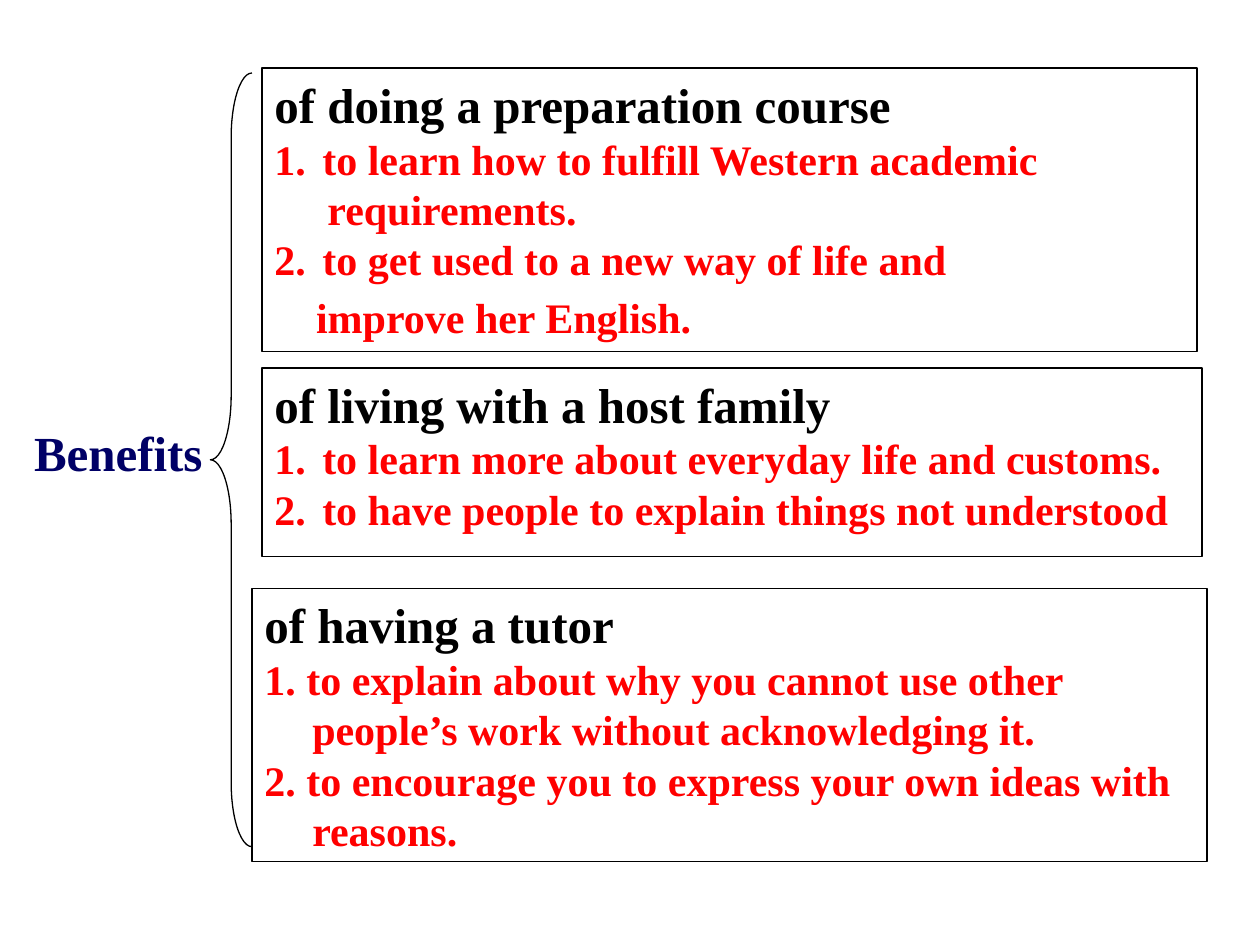
from lxml import etree
from pptx import Presentation
from pptx.dml.color import RGBColor
from pptx.enum.shapes import MSO_SHAPE
from pptx.enum.text import MSO_ANCHOR, MSO_AUTO_SIZE, PP_ALIGN
from pptx.oxml.ns import qn
from pptx.util import Inches, Pt

BLACK = RGBColor(0x00, 0x00, 0x00)
RED = RGBColor(0xFF, 0x00, 0x00)
NAVY = RGBColor(0x00, 0x00, 0x66)
FONT = "Times New Roman"
RECTANGLE = MSO_SHAPE.RECTANGLE
LEFT_BRACE = MSO_SHAPE.LEFT_BRACE
TOP = MSO_ANCHOR.TOP
LEFT = PP_ALIGN.LEFT
NO_AUTOFIT = MSO_AUTO_SIZE.NONE
HANGING = 0.38

BENEFITS = [
    ((2.08, 0.54, 7.42, 2.25), [
        ("of doing a preparation course", "heading"),
        ("to learn how to fulfill Western academic", 1),
        ("requirements.", 0.42),
        ("to get used to a new way of life and", 2),
        ("improve her English.", 0.33),
    ]),
    ((2.08, 2.92, 7.46, 1.5), [
        ("of living with a host family", "heading"),
        ("to learn more about everyday life and customs.", 1),
        ("to have people to explain things not understood", 2),
    ]),
    ((2, 4.67, 7.58, 2.17), [
        ("of having a tutor", "heading"),
        ("1. to explain about why you cannot use other people’s work "
         "without acknowledging it.", "hanging"),
        ("2. to encourage you to express your own ideas with reasons.", "hanging"),
    ]),
]


def set_indent(para, margin, first=0):
    """Set the left margin and first-line indent of a paragraph."""
    properties = para._p.get_or_add_pPr()
    properties.set("marL", str(Inches(margin)))
    properties.set("indent", str(Inches(first)))
    return properties


def add_number(properties, number):
    """Give a paragraph a red automatic number."""
    colour = etree.SubElement(properties, qn("a:buClr"))
    etree.SubElement(colour, qn("a:srgbClr"), val=str(RED))
    etree.SubElement(properties, qn("a:buAutoNum"),
                     type="arabicPeriod", startAt=str(number))


def format_text(para, size, colour):
    """Apply the bold serif style to a paragraph."""
    para.alignment = LEFT
    para.line_spacing = 1.0
    for span in para.runs:
        span.font.name = FONT
        span.font.size = Pt(size)
        span.font.bold = True
        span.font.color.rgb = colour


def outline(shape):
    """Leave a shape unfilled with a thin black line."""
    shape.shadow.inherit = False
    shape.fill.background()
    shape.line.color.rgb = BLACK
    shape.line.width = Pt(0.75)


def add_title(page, box):
    """Place the topic in the title placeholder."""
    title = page.shapes.title
    title.left, title.top, title.width, title.height = map(Inches, box)
    frame = title.text_frame
    frame.text = "Benefits"
    frame.word_wrap = True
    frame.auto_size = NO_AUTOFIT
    frame.vertical_anchor = TOP
    format_text(frame.paragraphs[0], 28, NAVY)


def add_brace(page, box):
    """Draw the brace that joins the topic to its benefits."""
    brace = page.shapes.add_shape(LEFT_BRACE, *map(Inches, box))
    brace.adjustments[0] = 1.55
    outline(brace)


def add_benefit(page, box, lines):
    """Draw one framed benefit with its heading and points."""
    panel = page.shapes.add_shape(RECTANGLE, *map(Inches, box))
    outline(panel)
    frame = panel.text_frame
    frame.word_wrap = True
    frame.vertical_anchor = TOP
    frame.text = "\n".join(text for text, _ in lines)
    for para, (_, style) in zip(frame.paragraphs, lines):
        if isinstance(style, float):
            set_indent(para, style)
        else:
            properties = set_indent(para, HANGING, -HANGING)
            if isinstance(style, int):
                add_number(properties, style)
        if style == "heading":
            format_text(para, 28, BLACK)
        else:
            format_text(para, 24, RED)
    if isinstance(lines[-1][1], float):
        frame.paragraphs[-1].space_before = Pt(4)


def main():
    """Build the benefits slide."""
    deck = Presentation()
    deck.slide_width, deck.slide_height = Inches(10), Inches(7.5)
    page = deck.slides.add_slide(deck.slide_layouts[5])
    add_title(page, (0.17, 3.3, 1.7, 0.64))
    add_brace(page, (1.67, 0.58, 0.33, 6.14))
    for box, lines in BENEFITS:
        add_benefit(page, box, lines)
    deck.save("out.pptx")


if __name__ == "__main__":
    main()
